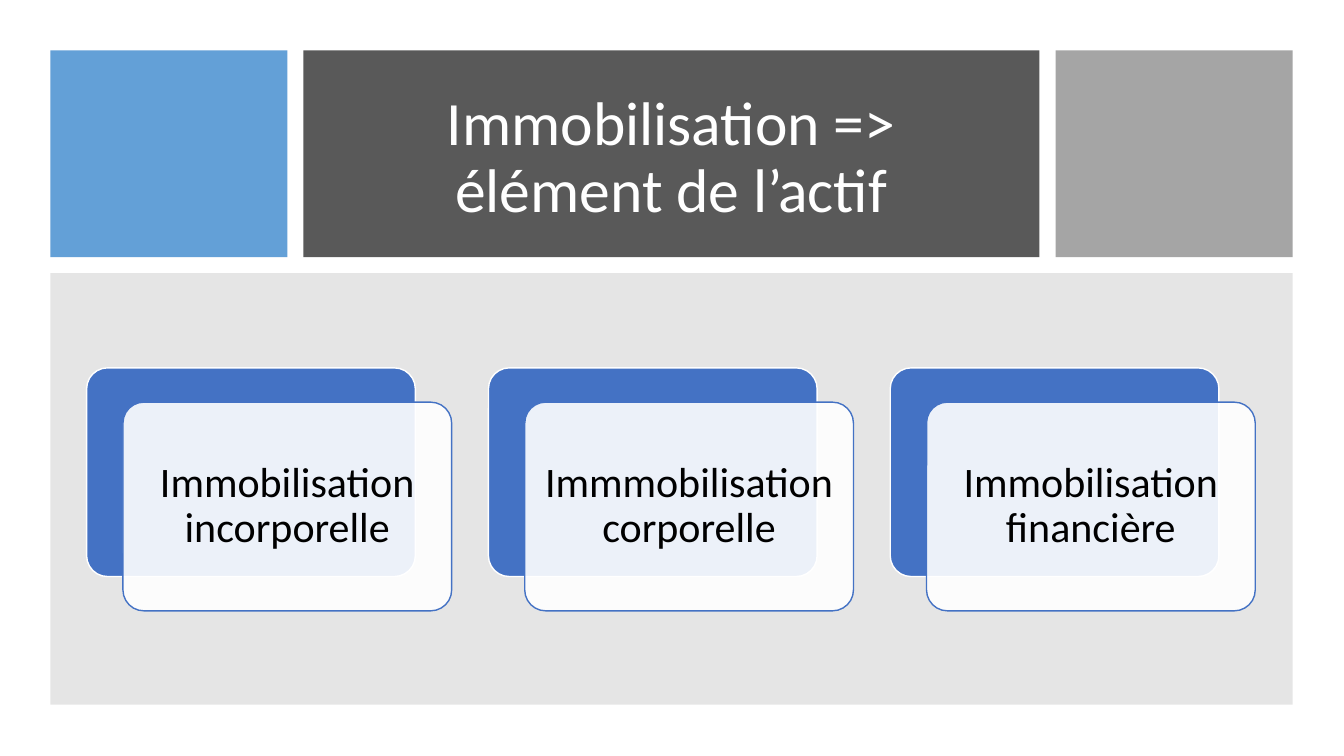
from dataclasses import dataclass

from lxml import etree
from pptx import Presentation
from pptx.dml.color import RGBColor
from pptx.enum.shapes import MSO_SHAPE as SHAPE
from pptx.enum.text import MSO_ANCHOR as ANCHOR, PP_ALIGN as ALIGN
from pptx.oxml.ns import qn
from pptx.util import Pt

# Content
TITLE = "Immobilisation => élément de l’actif"
CARDS = [
    "Immobilisation incorporelle",
    "Immmobilisation corporelle",
    "Immobilisation financière",
]


@dataclass(frozen=True)
class Theme:
    font: str = "Calibri"
    title_size: int = 44
    card_size: int = 30
    white: str = "FFFFFF"
    black: str = "000000"
    sky: str = "5B9BD5"
    dark: str = "595959"
    silver: str = "A5A5A5"
    panel: str = "808080"
    accent: str = "4472C4"


THEME = Theme()

# Layout in px, 100 px to the inch
EMU_PER_PX = 9144
SLIDE_W, SLIDE_H = 1333, 750
MARGIN, GAP = 50, 16
CONTENT_W = 1232
HEADER_H, SIDE_W = 205, 235
PANEL_TOP, PANEL_H = MARGIN + HEADER_H + GAP, 428
CARD_LEFT, CARD_TOP, CARD_W, CARD_H = 86, 365, 326, 207
CARD_PITCH = 398.5
FRONT_DX, FRONT_DY = 36, 34


def px(n):
    return round(n * EMU_PER_PX)


def add_box(slide, kind, box, fill, opacity=100, line=None):
    sp = slide.shapes.add_shape(kind, *map(px, box))
    sp.shadow.inherit = False
    sp.fill.solid()
    sp.fill.fore_color.rgb = RGBColor.from_string(fill)
    if opacity < 100:
        color = sp.fill._xPr.find(".//" + qn("a:srgbClr"))
        etree.SubElement(color, qn("a:alpha"), val=str(opacity * 1000))
    if line:
        sp.line.color.rgb = RGBColor.from_string(line)
        sp.line.width = Pt(1)
    else:
        sp.line.fill.background()
    if kind == SHAPE.ROUNDED_RECTANGLE:
        sp.adjustments[0] = 0.1
    return sp


def set_text(sp, text, size, color, inset_x, inset_y):
    tf = sp.text_frame
    tf.text = text
    tf.word_wrap = True
    tf.vertical_anchor = ANCHOR.MIDDLE
    tf.margin_left = tf.margin_right = px(inset_x)
    tf.margin_top = tf.margin_bottom = px(inset_y)
    p = tf.paragraphs[0]
    p.alignment = ALIGN.CENTER
    p.line_spacing = 0.9
    font = p.runs[0].font
    font.name = THEME.font
    font.size = Pt(size)
    font.color.rgb = RGBColor.from_string(color)


def main():
    prs = Presentation()
    prs.slide_width, prs.slide_height = px(SLIDE_W), px(SLIDE_H)
    slide = prs.slides.add_slide(prs.slide_layouts[6])

    # Header band: side block, title block, side block
    title_w = CONTENT_W - 2 * (SIDE_W + GAP)
    title_left = MARGIN + SIDE_W + GAP
    right_left = title_left + title_w + GAP
    add_box(slide, SHAPE.RECTANGLE, (MARGIN, MARGIN, SIDE_W, HEADER_H),
            THEME.sky, 95)
    add_box(slide, SHAPE.RECTANGLE, (title_left, MARGIN, title_w, HEADER_H),
            THEME.dark)
    add_box(slide, SHAPE.RECTANGLE, (right_left, MARGIN, SIDE_W, HEADER_H),
            THEME.silver)
    title = slide.shapes.add_textbox(*map(px, (333, 80, 666, 156)))
    set_text(title, TITLE, THEME.title_size, THEME.white, 10, 5)

    # Panel behind the cards
    add_box(slide, SHAPE.RECTANGLE, (MARGIN, PANEL_TOP, CONTENT_W, PANEL_H),
            THEME.panel, 20)

    # Cards: solid back, translucent front with the label
    for i, label in enumerate(CARDS):
        left = CARD_LEFT + i * CARD_PITCH
        add_box(slide, SHAPE.ROUNDED_RECTANGLE,
                (left, CARD_TOP, CARD_W, CARD_H), THEME.accent, line=THEME.white)
        front = add_box(slide, SHAPE.ROUNDED_RECTANGLE,
                        (left + FRONT_DX, CARD_TOP + FRONT_DY, CARD_W, CARD_H),
                        THEME.white, 90, THEME.accent)
        set_text(front, label, THEME.card_size, THEME.black, 12, 12)

    prs.save("out.pptx")


if __name__ == "__main__":
    main()
